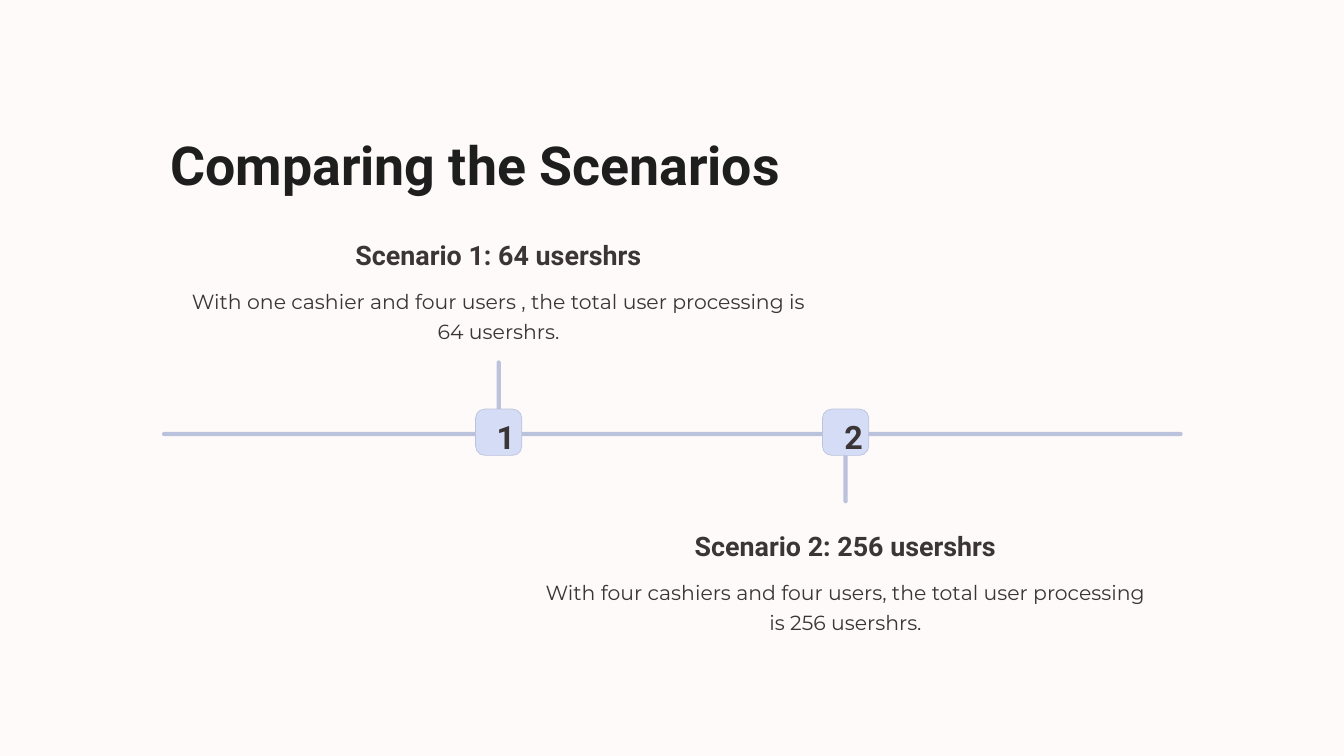
from pptx import Presentation
from pptx import util as u
from pptx.dml.color import RGBColor
from pptx.enum import shapes, text

Cm, Pt = u.Cm, u.Pt
hues = {"page": "FFFAFA", "title": "1F1E1E", "ink": "3B3535",
        "line": "BBC2DC", "node": "D5DCF6"}

deck = Presentation()
deck.slide_width, deck.slide_height = Cm(40.64), Cm(22.86)
slide = deck.slides.add_slide(deck.slide_layouts[6])


def block(x, y, w, h, hue, bend=0.5, edge=None):
    form = slide.shapes.add_shape(shapes.MSO_SHAPE.ROUNDED_RECTANGLE,
                                  Cm(x), Cm(y), Cm(w), Cm(h))
    form.adjustments[0] = bend
    form.shadow.inherit = False
    form.fill.solid()
    form.fill.fore_color.rgb = RGBColor.from_string(hues[hue])
    if edge:
        form.line.color.rgb = RGBColor.from_string(hues[edge])
        form.line.width = Pt(0.6)
    else:
        form.line.fill.background()


def label(x, y, w, h, words, size, lead, font="Roboto", hue="ink",
          align=text.PP_ALIGN.CENTER, wrap=False):
    frame = slide.shapes.add_textbox(Cm(x), Cm(y), Cm(w), Cm(h)).text_frame
    frame.word_wrap = wrap
    para = frame.paragraphs[0]
    para.alignment = align
    para.line_spacing = Pt(lead)
    run = para.add_run()
    run.text = words
    run.font.name = font
    run.font.size = Pt(size)
    run.font.bold = font == "Roboto"
    run.font.color.rgb = RGBColor.from_string(hues[hue])


back = slide.background.fill
back.solid()
back.fore_color.rgb = RGBColor.from_string(hues["page"])

label(4.9, 3.78, 20.78, 2.03, "Comparing the Scenarios", 46, 57.5,
      hue="title", align=text.PP_ALIGN.LEFT)

thick, side = 0.13, 1.4
block(4.9, 13.06, 30.86, thick, "line")

steps = [
    (15.08, 10.9, 7.04, "1", 0.38, "Scenario 1: 64 usershrs", 9.2,
     "With one cashier and four users , the total user processing is 64 usershrs."),
    (25.57, 13.06, 15.85, "2", 0.58, "Scenario 2: 256 usershrs", 9.86,
     "With four cashiers and four users, the total user processing is 256 usershrs."),
]
for mid, stem, top, mark, thin, head, wide, body in steps:
    block(mid - thick / 2, stem, thick, 2.16, "line")
    block(mid - side / 2, 12.37, side, side, "node", 0.2, "line")
    label(mid - thin / 2, 12.45, thin, 1.22, mark, 27.6, 34.5)
    label(mid - wide / 2, top, wide, 1.02, head, 23, 28.8)
    label(mid - 9.56, top + 1.38, 19.12, 1.85, body, 17.5, 26.2,
          font="Montserrat", wrap=True)

deck.save("out.pptx")
